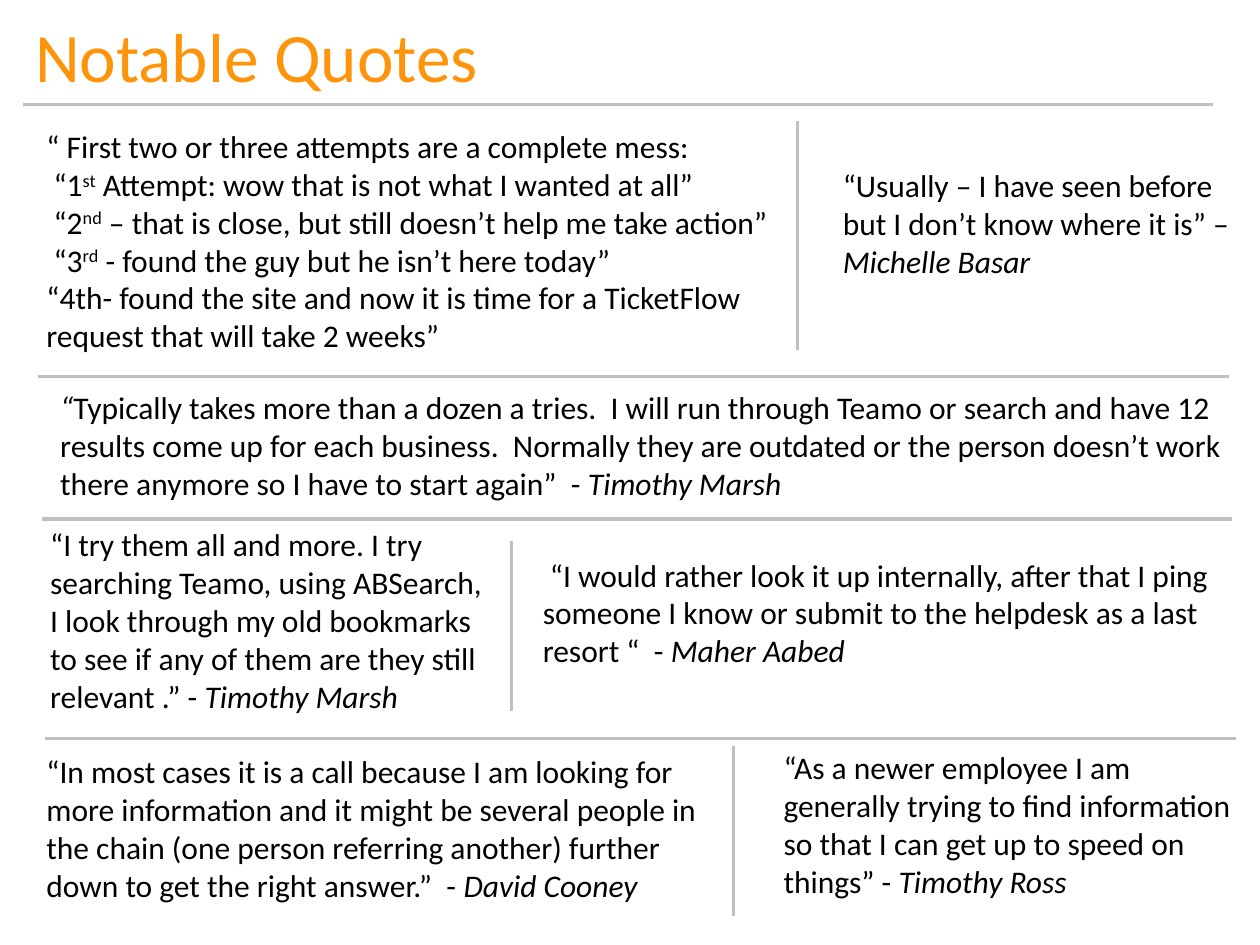
from lxml import etree
from pptx import Presentation
from pptx.dml.color import RGBColor
from pptx.enum.shapes import MSO_CONNECTOR
from pptx.enum.text import MSO_ANCHOR, MSO_AUTO_SIZE
from pptx.oxml.ns import qn
from pptx.util import Inches, Pt

STRAIGHT = MSO_CONNECTOR.STRAIGHT
TOP, MIDDLE = MSO_ANCHOR.TOP, MSO_ANCHOR.MIDDLE
FIXED = MSO_AUTO_SIZE.NONE
COLORS = {"title": "FD940A", "text": "000000", "rule": "BFBFBF"}
FORMATS = {
    "title": {"name": "Calibri", "size": Pt(39.6)},
    "text": {"name": "Calibri", "size": Pt(18)},
}
RULE_WIDTH = 9.45

QUOTES = [
    ((0.27, 0.96, 6.05, 1.92), [
        [("“ First two or three attempts are a complete mess:", "")],
        [(" “1", ""), ("st", "super"), (" Attempt: wow that is not what I wanted at all”", "")],
        [(" “2", ""), ("nd", "super"), (" – that is close, but still doesn’t help me take action”", "")],
        [(" “3", ""), ("rd", "super"), (" - found the guy but he isn’t here today”", "")],
        [("“4th- found the site and now it is time for a TicketFlow request that will take 2 weeks”", "")],
    ]),
    ((6.59, 1.27, 3.41, 1.01), [[
        ("“Usually – I have seen before but I don’t know where it is” – ", ""),
        ("Michelle Basar", "italic"),
    ]]),
    ((0.38, 3.03, 9.44, 1.01), [[
        ("“", "italic"),
        ("Typically takes more than a dozen a tries.  I will run through Teamo or search and have 12 "
         "results come up for each business.  Normally they are outdated or the person doesn’t work "
         "there anymore so I have to start again”  - ", ""),
        ("Timothy Marsh", "italic"),
    ]]),
    ((0.3, 4.12, 3.63, 1.62), [[
        ("“I try them all and more. I try searching Teamo, using ABSearch, I look through my old "
         "bookmarks to see if any of them are they still relevant .” - ", ""),
        ("Timothy Marsh", "italic"),
    ]]),
    ((4.21, 4.36, 5.66, 1.01), [[
        (" ", "italic"),
        ("“I would rather look it up internally, after that I ping someone I know or submit to the "
         "helpdesk as a last resort “  - ", ""),
        ("Maher Aabed", "italic"),
    ]]),
    ((0.27, 5.92, 5.36, 1.31), [[
        ("“In most cases it is a call because I am looking for more information and it might be "
         "several people in the chain (one person referring another) further down to get the right "
         "answer.”  - ", ""),
        ("David Cooney", "italic"),
    ]]),
    ((6.12, 5.89, 3.88, 1.31), [[
        ("“As a newer employee I am generally trying to find information so that I can get up to "
         "speed on things” -", ""),
        (" Timothy Ross", "italic"),
    ]]),
]
ROW_RULES = [(0.18, 0.83), (0.3, 2.99), (0.33, 4.12), (0.36, 5.86)]
COLUMN_RULES = [(6.33, 0.96, 2.78), (4.06, 4.29, 5.64), (5.82, 5.92, 7.27)]


def add_span(para, text, role, style):
    """Append a run in the role's format, optionally italic or superscript."""
    span = para.add_run()
    span.text = text
    for key, value in FORMATS[role].items():
        setattr(span.font, key, value)
    span.font.color.rgb = RGBColor.from_string(COLORS[role])
    if style == "italic":
        span.font.italic = True
    elif style == "super":
        span.font._element.set("baseline", "30000")


def add_text(page, bounds, paragraphs, role="text", anchor=TOP):
    """Add a wrapping text box made of paragraphs of (text, style) spans."""
    frame = page.shapes.add_textbox(*map(Inches, bounds)).text_frame
    settings = {"word_wrap": True, "auto_size": FIXED, "vertical_anchor": anchor}
    for key, value in settings.items():
        setattr(frame, key, value)
    for index, spans in enumerate(paragraphs):
        para = frame.add_paragraph() if index else frame.paragraphs[0]
        for text, style in spans:
            add_span(para, text, role, style)


def add_rule(page, *ends):
    """Draw a grey divider without a shadow."""
    rule = page.shapes.add_connector(STRAIGHT, *map(Inches, ends))
    rule.line.color.rgb = RGBColor.from_string(COLORS["rule"])
    rule.line.width = Pt(2)
    etree.SubElement(rule._element.spPr, qn("a:effectLst"))


def main():
    """Build and save the quotes slide."""
    deck = Presentation()
    deck.slide_width, deck.slide_height = Inches(10), Inches(7.5)
    page = deck.slides.add_slide(deck.slide_layouts[6])
    add_text(page, (0.18, 0.05, 8.82, 0.77), [[("Notable Quotes", "")]], "title", MIDDLE)
    for bounds, paragraphs in QUOTES:
        add_text(page, bounds, paragraphs)
    for left, top in ROW_RULES:
        add_rule(page, left, top, left + RULE_WIDTH, top)
    for left, top, bottom in COLUMN_RULES:
        add_rule(page, left, top, left, bottom)
    deck.save("out.pptx")


if __name__ == "__main__":
    main()
